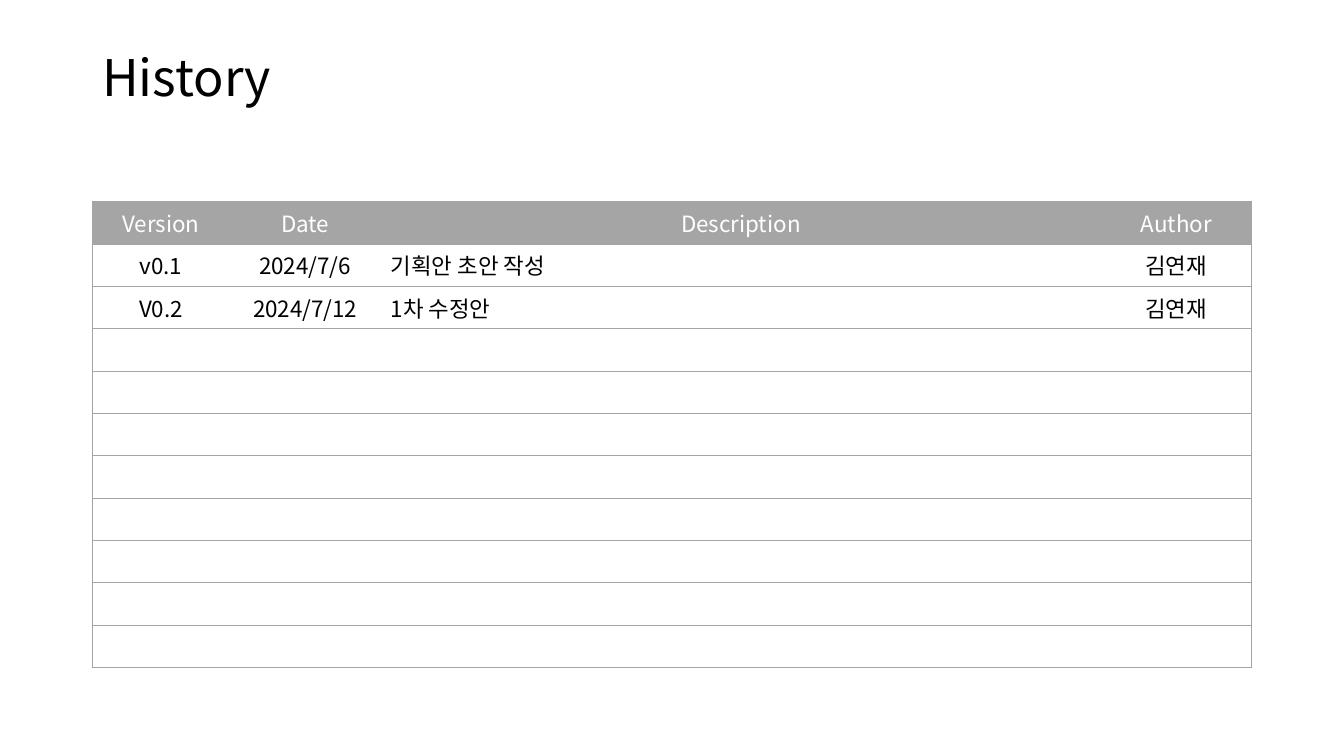
from pptx import Presentation
from pptx.dml.color import RGBColor as RGB
from pptx.enum.text import MSO_ANCHOR as Anchor, PP_ALIGN as Align
from pptx.oxml.ns import qn
from pptx.util import Pt
from lxml.etree import SubElement as Sub

theme = {
    "font": "Noto Sans CJK KR",
    "ink": "000000",
    "paper": "FFFFFF",
    "gray": "A5A5A5",
    "title": 36,
    "body": 16,
    "line": 0.5,
}


def style(para, size, color):
    for run in para.runs:
        run.font.size = Pt(size)
        run.font.name = theme["font"]
        run.font.color.rgb = RGB.from_string(color)
        Sub(run.font._element, qn("a:ea"), typeface=theme["font"])


def border(cell, side, shown):
    line = Sub(cell._tc.get_or_add_tcPr(), qn("a:ln" + side), w=str(Pt(theme["line"])))
    if shown:
        fill = Sub(line, qn("a:solidFill"))
        Sub(fill, qn("a:srgbClr"), val=theme["gray"])
    else:
        Sub(line, qn("a:noFill"))


deck = Presentation()
deck.slide_width, deck.slide_height = Pt(960), Pt(540)
slide = deck.slides.add_slide(deck.slide_layouts[6])

title = slide.shapes.add_textbox(Pt(66), Pt(28.8), Pt(828), Pt(57.6)).text_frame
title.word_wrap = True
title.vertical_anchor = Anchor.MIDDLE
title.text = "History"
title.paragraphs[0].line_spacing = 0.9
style(title.paragraphs[0], theme["title"], theme["ink"])

heads = ["Version", "Date", "Description", "Author"]
logs = [
    ["v0.1", "2024/7/6", "기획안 초안 작성", "김연재"],
    ["V0.2", "2024/7/12", "1차 수정안", "김연재"],
]
count = 11
blanks = [[""] * len(heads)] * (count - 1 - len(logs))
rows = [heads] + logs + blanks
widths = [98, 108, 514.5, 107.5]
height = 30.25

table = slide.shapes.add_table(
    count, len(heads), Pt(66), Pt(144), Pt(sum(widths)), Pt(height * count)
).table
table.first_row = False
table.horz_banding = False
for col, width in zip(table.columns, widths):
    col.width = Pt(width)

last = len(heads) - 1
for r, texts in enumerate(rows):
    table.rows[r].height = Pt(height)
    for c, text in enumerate(texts):
        cell = table.cell(r, c)
        cell.text = text
        para = cell.text_frame.paragraphs[0]
        left = r > 0 and heads[c] == "Description"
        para.alignment = Align.LEFT if left else Align.CENTER
        style(para, theme["body"], theme["ink" if r else "paper"])
        if not text:
            Sub(para._p, qn("a:endParaRPr"), sz=str(theme["body"] * 100))
        for side, shown in (("L", c == 0), ("R", c == last), ("T", True), ("B", True)):
            border(cell, side, shown)
        cell.fill.solid()
        cell.fill.fore_color.rgb = RGB.from_string(theme["paper" if r else "gray"])

deck.save("out.pptx")
